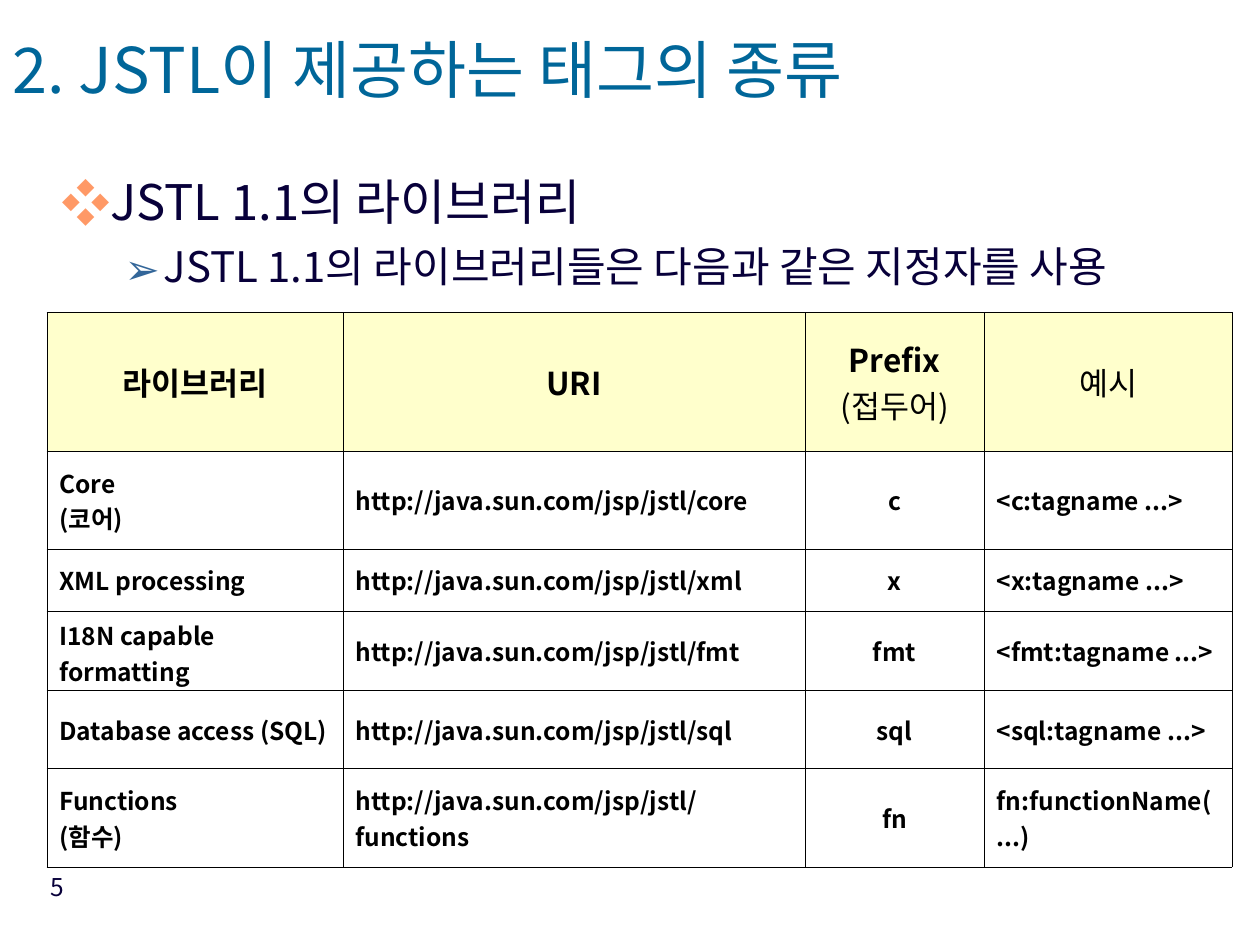
from lxml.etree import SubElement
from pptx import Presentation
from pptx.dml.color import RGBColor
from pptx.enum.text import MSO_ANCHOR, PP_ALIGN
from pptx.oxml.ns import qn
from pptx.util import Inches, Pt

FONT = "Noto Sans CJK KR"
COLORS = {
    "title": "006699",
    "body": "08003A",
    "diamond": "FF9966",
    "arrow": "336699",
    "table": "000000",
    "header": "FFFFCC",
    "cell": "FFFFFF",
}
TITLE = "2. JSTL이 제공하는 태그의 종류"
BULLETS = [
    ("JSTL 1.1의 라이브러리", 28, "❖", "diamond", 0.38, 0.38, 0),
    ("JSTL 1.1의 라이브러리들은 다음과 같은 지정자를 사용", 24, "➢", "arrow", 0.81, 0.31, 6),
]
PAGE_NUMBER = "5"
HEADERS = ["라이브러리", "URI", "Prefix\n(접두어)", "예시"]
PLAIN_HEADERS = {"(접두어)", "예시"}
URI_BASE = "http://java.sun.com/jsp/jstl/"
LIBRARIES = [
    ("Core\n(코어)", "core", "c", "<c:tagname ...>"),
    ("XML processing", "xml", "x", "<x:tagname ...>"),
    ("I18N capable formatting", "fmt", "fmt", "<fmt:tagname ...>"),
    ("Database access (SQL)", "sql", "sql", "<sql:tagname ...>"),
    ("Functions\n(함수)", "functions", "fn", "fn:functionName(...)"),
]
COLUMN_WIDTHS = [2.35, 3.67, 1.42, 1.97]
ROW_HEIGHTS = [1.1, 0.78, 0.49, 0.63, 0.62, 0.78]
PREFIX_COLUMN = 2
BORDER_WIDTH = Pt(0.06)


def style(paragraph, size, color, bold=False):
    font = paragraph.font
    font.name = FONT
    font.size = Pt(size)
    font.bold = bold
    font.color.rgb = RGBColor.from_string(COLORS[color])
    properties = paragraph._p.pPr.find(qn("a:defRPr"))
    SubElement(properties, qn("a:ea"), typeface=FONT)


def add_text_frame(slide, left, top, width, height):
    box = slide.shapes.add_textbox(Inches(left), Inches(top), Inches(width), Inches(height))
    box.text_frame.word_wrap = True
    return box.text_frame


def add_bullet(paragraph, symbol, color, left, hanging):
    properties = paragraph._p.get_or_add_pPr()
    properties.set("marL", str(Inches(left)))
    properties.set("indent", str(-Inches(hanging)))
    bullet_color = SubElement(properties, qn("a:buClr"))
    SubElement(bullet_color, qn("a:srgbClr"), val=COLORS[color])
    SubElement(properties, qn("a:buFont"), typeface=FONT)
    SubElement(properties, qn("a:buChar"), char=symbol)


def add_borders(cell):
    properties = cell._tc.get_or_add_tcPr()
    for position, side in enumerate(("lnL", "lnR", "lnT", "lnB")):
        line = SubElement(properties, qn(f"a:{side}"), w=str(BORDER_WIDTH))
        fill = SubElement(line, qn("a:solidFill"))
        SubElement(fill, qn("a:srgbClr"), val=COLORS["table"])
        properties.insert(position, line)


def fill_cell(cell, text, is_header, centered):
    cell.text = text
    cell.vertical_anchor = MSO_ANCHOR.MIDDLE
    cell.fill.solid()
    cell.fill.fore_color.rgb = RGBColor.from_string(COLORS["header" if is_header else "cell"])
    add_borders(cell)
    for paragraph in cell.text_frame.paragraphs:
        paragraph.alignment = PP_ALIGN.CENTER if centered else PP_ALIGN.LEFT
        bold = paragraph.text not in PLAIN_HEADERS
        style(paragraph, 18 if is_header else 14, "table", bold)


def add_library_table(slide):
    rows = [HEADERS] + [
        (name, URI_BASE + uri, prefix, example) for name, uri, prefix, example in LIBRARIES
    ]
    table = slide.shapes.add_table(
        len(rows), len(HEADERS), Inches(0.37), Inches(2.48),
        Inches(sum(COLUMN_WIDTHS)), Inches(sum(ROW_HEIGHTS)),
    ).table
    table.horz_banding = False
    for column, width in zip(table.columns, COLUMN_WIDTHS):
        column.width = Inches(width)
    for row, height in zip(table.rows, ROW_HEIGHTS):
        row.height = Inches(height)
    for row_index, row in enumerate(rows):
        for column_index, text in enumerate(row):
            is_header = row_index == 0
            centered = is_header or column_index == PREFIX_COLUMN
            fill_cell(table.cell(row_index, column_index), text, is_header, centered)


def main():
    presentation = Presentation()
    presentation.slide_width = Inches(10)
    presentation.slide_height = Inches(7.5)
    slide = presentation.slides.add_slide(presentation.slide_layouts[6])

    title = add_text_frame(slide, 0, 0.28, 8.54, 0.67)
    title.vertical_anchor = MSO_ANCHOR.MIDDLE
    title.text = TITLE
    title.paragraphs[0].line_spacing = 0.7
    style(title.paragraphs[0], 36, "title")

    body = add_text_frame(slide, 0.39, 1.31, 9.21, 1.1)
    for index, (text, size, symbol, color, left, hanging, before) in enumerate(BULLETS):
        paragraph = body.add_paragraph() if index else body.paragraphs[0]
        paragraph.text = text
        paragraph.level = index
        paragraph.space_before = Pt(before)
        add_bullet(paragraph, symbol, color, left, hanging)
        style(paragraph, size, "body")

    add_library_table(slide)

    number = add_text_frame(slide, 0.14, 6.87, 0.47, 0.52)
    number.text = PAGE_NUMBER
    number.paragraphs[0].alignment = PP_ALIGN.RIGHT
    style(number.paragraphs[0], 14, "body")

    presentation.save("out.pptx")


if __name__ == "__main__":
    main()
